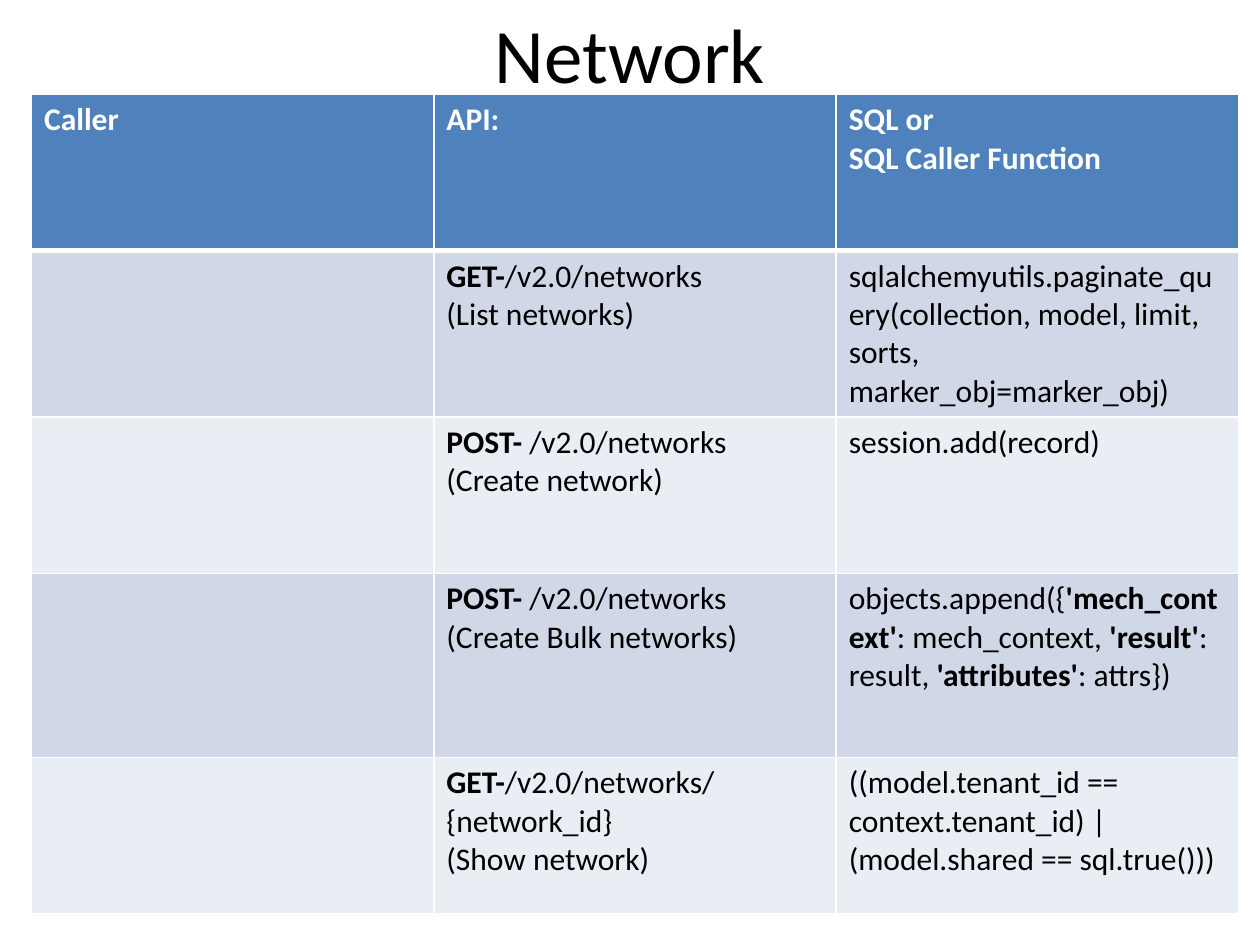
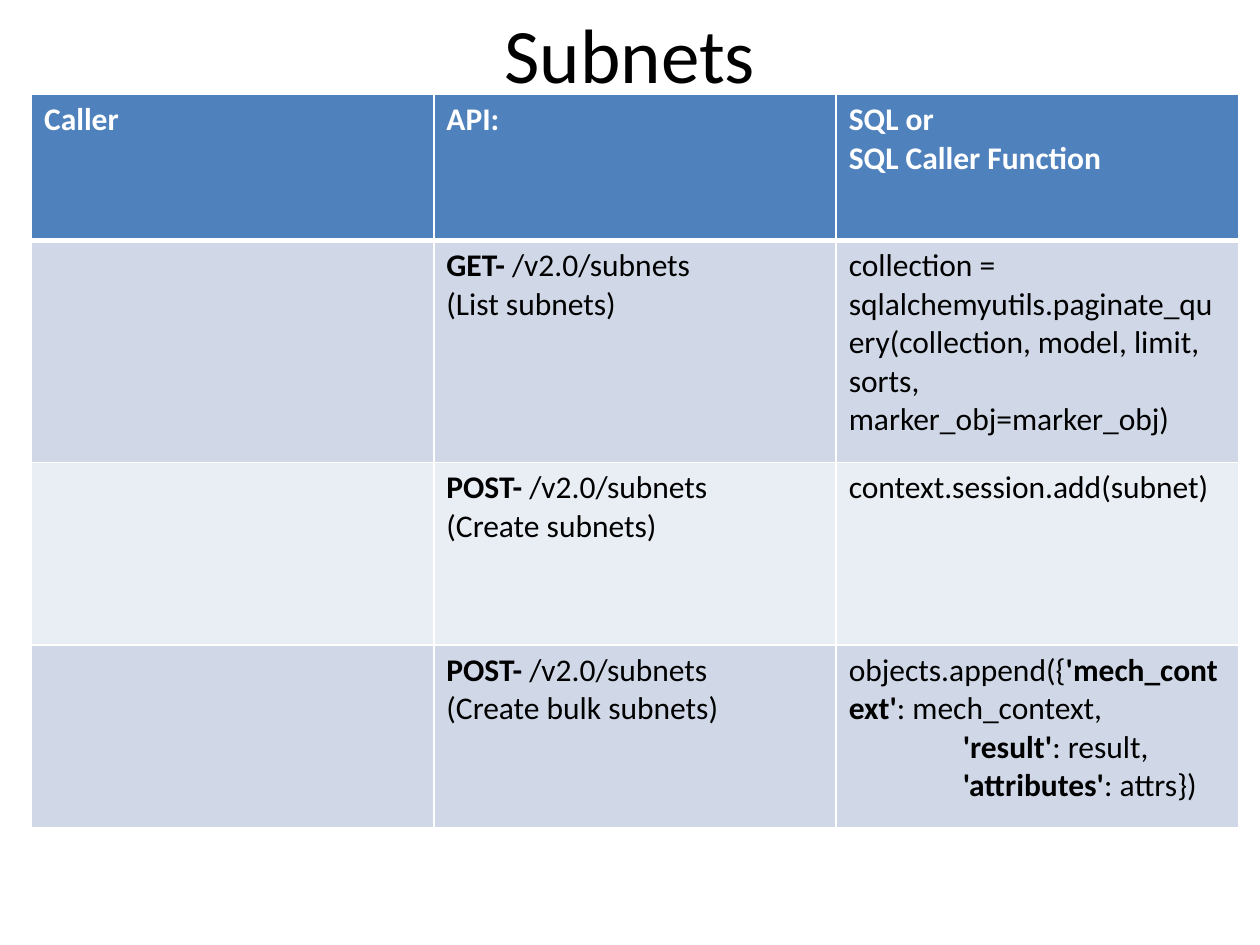
from pptx import Presentation
from pptx.dml.color import RGBColor
from pptx.enum.text import MSO_ANCHOR as Anchor, PP_ALIGN as Align
from pptx.oxml.ns import qn
from pptx.util import Inches, Pt
from lxml.etree import SubElement

# Content: each cell is a list of paragraphs, ** marks bold, \n breaks a line
HEADER = [["Caller"], ["API:"], ["SQL or", "SQL Caller Function"]]
SLIDES = [
    {
        "title": "Network",
        "heights": [1.24, 1.24, 1.24, 1.46, 1.24],
        "calls": [
            (["**GET-**/v2.0/networks", "(List networks)"],
             ["sqlalchemyutils.paginate_query(collection, model, limit, sorts, "
              "marker_obj=marker_obj)"]),
            (["**POST- **/v2.0/networks", "(Create network)"],
             ["session.add(record)"]),
            (["**POST- **/v2.0/networks", "(Create Bulk networks)"],
             ["objects.append({**'mech_context'**: mech_context, "
              "**'result'**: result, **'attributes'**: attrs})"]),
            (["**GET-**/v2.0/networks/{network_id}", "(Show network)"],
             ["((model.tenant_id == context.tenant_id) | "
              "(model.shared == sql.true()))"]),
        ],
    },
    {
        "title": "Subnets",
        "heights": [1.16, 1.76, 1.45, 1.45],
        "calls": [
            (["**GET- **/v2.0/subnets", "(List subnets)"],
             ["collection = sqlalchemyutils.paginate_query(collection, model, "
              "limit, sorts, marker_obj=marker_obj)"]),
            (["**POST- **/v2.0/subnets", "(Create subnets)"],
             ["context.session.add(subnet)"]),
            (["**POST- **/v2.0/subnets", "(Create bulk subnets)"],
             ["objects.append({**'mech_context'**: mech_context,\n"
              "                **'result'**: result,\n"
              "                **'attributes'**: attrs})"]),
        ],
    },
]

# Shared look
FONT = "Calibri"
BLACK, WHITE, BLUE = "000000", "FFFFFF", "4F81BD"
BANDS = ["D0D8E8", "E9EDF4"]
TITLE_BOX = {"left": 0.5, "top": 0, "width": 9, "height": 0.83}
TABLE_LEFT, TABLE_TOP, TABLE_WIDTH, COLS = 0.25, 0.75, 9.58, 3


def rgb(color):
    return RGBColor.from_string(color)


def style(font, size, color, bold=False):
    for name, value in {"name": FONT, "size": Pt(size), "bold": bold}.items():
        setattr(font, name, value)
    font.color.rgb = rgb(color)


def add_title(s, text):
    sp = s.shapes.title
    for name, value in TITLE_BOX.items():
        setattr(sp, name, Inches(value))
    tf = sp.text_frame
    tf.text = text
    tf.vertical_anchor = Anchor.MIDDLE
    p = tf.paragraphs[0]
    p.alignment = Align.CENTER
    style(p.runs[0].font, 44, BLACK)


def set_borders(cell, **widths):
    tc_pr = cell._tc.get_or_add_tcPr()
    for side in "LRTB":
        ln = SubElement(tc_pr, qn(f"a:ln{side}"), w=str(Pt(widths.get(side, 1))))
        fill = SubElement(ln, qn("a:solidFill"))
        SubElement(fill, qn("a:srgbClr"), val=WHITE)


def write_cell(cell, paragraphs, color, header):
    tf = cell.text_frame
    for i, text in enumerate(paragraphs):
        p = tf.add_paragraph() if i else tf.paragraphs[0]
        for j, part in enumerate(text.split("**")):
            for k, line in enumerate(part.split("\n")):
                if k:
                    p.add_line_break()
                if line:
                    r = p.add_run()
                    r.text = line
                    style(r.font, 18, color, header or j % 2 == 1)


def add_call_table(s, heights, calls):
    rows = [HEADER] + [([], api, sql) for api, sql in calls]
    table = s.shapes.add_table(
        len(rows), COLS, Inches(TABLE_LEFT), Inches(TABLE_TOP),
        Inches(TABLE_WIDTH), Inches(sum(heights))).table
    for col in table.columns:
        col.width = Inches(TABLE_WIDTH / COLS)
    for i, (row, height) in enumerate(zip(rows, heights)):
        table.rows[i].height = Inches(height)
        header = i == 0
        for j, paragraphs in enumerate(row):
            cell = table.cell(i, j)
            # Thick rule between header and body
            set_borders(cell, T=3 if i == 1 else 1, B=3 if header else 1)
            cell.fill.solid()
            cell.fill.fore_color.rgb = rgb(BLUE if header else BANDS[(i - 1) % 2])
            write_cell(cell, paragraphs, WHITE if header else BLACK, header)


def main():
    prs = Presentation()
    prs.slide_width, prs.slide_height = Inches(10), Inches(7.5)
    for content in SLIDES:
        s = prs.slides.add_slide(prs.slide_layouts[5])
        add_title(s, content["title"])
        add_call_table(s, content["heights"], content["calls"])
    prs.save("out.pptx")


if __name__ == "__main__":
    main()
